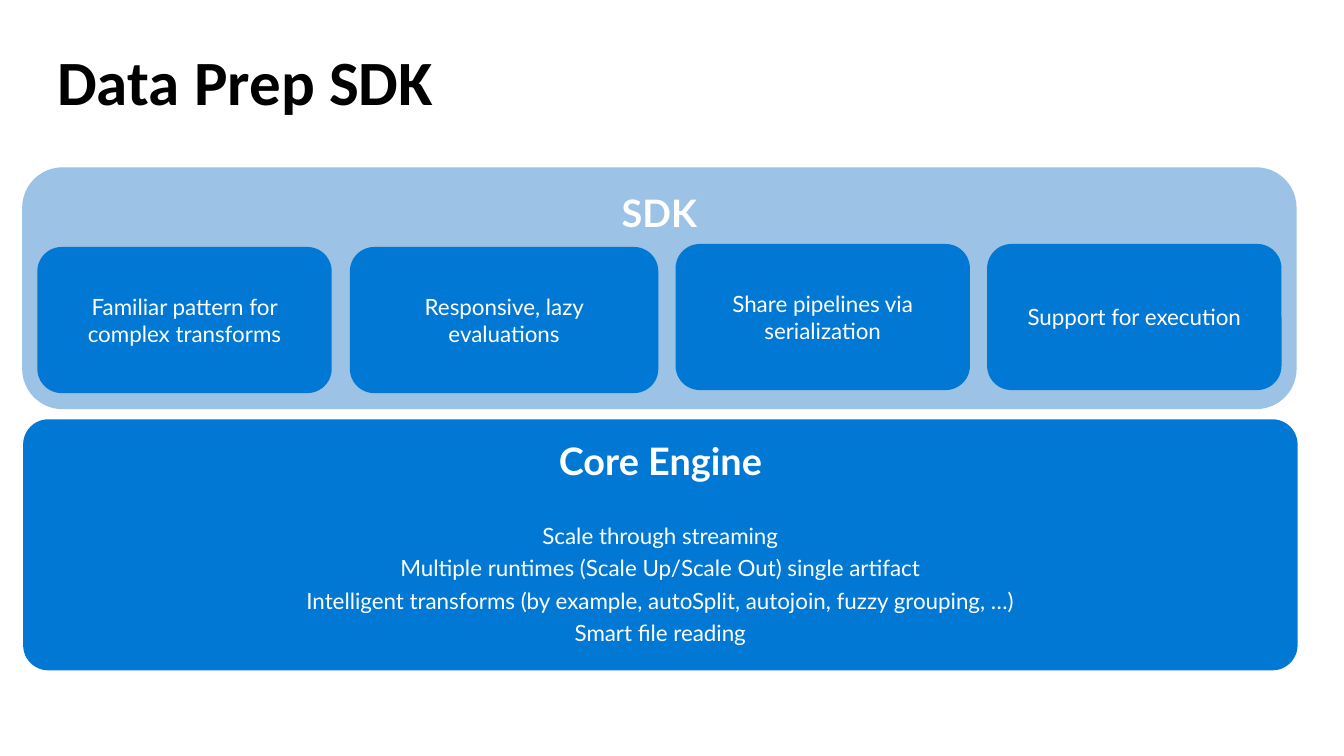
from pptx import Presentation
from pptx.dml.color import RGBColor
from pptx.enum.shapes import MSO_SHAPE
from pptx.enum.text import MSO_ANCHOR, PP_ALIGN
from pptx.util import Inches, Pt

ROUNDED = MSO_SHAPE.ROUNDED_RECTANGLE
TOP, MIDDLE = MSO_ANCHOR.TOP, MSO_ANCHOR.MIDDLE
LEFT, CENTER = PP_ALIGN.LEFT, PP_ALIGN.CENTER
COLORS = {"engine": "0078D4", "sdk": "9CC2E5", "white": "FFFFFF", "black": "000000"}


def add_panel(left, top, width, height, corner, color, anchor):
    """Add a rounded, borderless panel with padded, wrapping text."""
    panel = slide.shapes.add_shape(
        ROUNDED, Inches(left), Inches(top), Inches(width), Inches(height))
    panel.adjustments[0] = corner
    panel.shadow.inherit = False
    panel.fill.solid()
    panel.fill.fore_color.rgb = RGBColor.from_string(COLORS[color])
    panel.line.fill.background()
    frame = panel.text_frame
    frame.word_wrap = True
    frame.vertical_anchor = anchor
    frame.margin_left = frame.margin_right = Inches(0.2)
    frame.margin_top = frame.margin_bottom = Inches(0.16)
    return frame


def write(paragraph, text, size, bold=False, font="Lato", color="white",
          align=CENTER, spacing=0.9):
    paragraph.text = text
    paragraph.alignment = align
    paragraph.line_spacing = spacing
    for run in paragraph.runs:
        run.font.name = font
        run.font.size = Pt(size)
        run.font.bold = bold
        run.font.color.rgb = RGBColor.from_string(COLORS[color])


prs = Presentation()
prs.slide_width, prs.slide_height = Inches(13.33), Inches(7.5)
slide = prs.slides.add_slide(prs.slide_layouts[6])

# Core engine
engine = add_panel(0.23, 4.16, 12.64, 2.49, 0.1, "engine", TOP)
write(engine.paragraphs[0], "Core Engine", 27, bold=True)
capabilities = [
    "Scale through streaming",
    "Multiple runtimes (Scale Up/Scale Out) single artifact",
    "Intelligent transforms (by example, autoSplit, autojoin, fuzzy grouping, …)",
    "Smart file reading",
]
for index, capability in enumerate(capabilities):
    line = engine.add_paragraph()
    write(line, capability, 16)
    line.space_before = Pt(6 if index else 29.3)

# Title
title = slide.shapes.add_textbox(
    Inches(0.47), Inches(0.33), Inches(12.4), Inches(0.83)).text_frame
title.word_wrap = True
title.margin_left, title.margin_top = Inches(0.1), Inches(0.18)
title.margin_right = title.margin_bottom = 0
write(title.paragraphs[0], "Data Prep SDK", 45, bold=True, font="Calibri",
      color="black", align=LEFT)

# SDK and its features
sdk = add_panel(0.22, 1.66, 12.64, 2.4, 0.167, "sdk", TOP)
write(sdk.paragraphs[0], "SDK", 27, bold=True)
features = [
    ("Familiar pattern for complex transforms", 0.37, 2.45, 2.92),
    ("Responsive, lazy evaluations", 3.47, 2.45, 3.06),
    ("Share pipelines via serialization", 6.7, 2.42, 2.92),
    ("Support for execution", 9.79, 2.42, 2.92),
]
for text, left, top, width in features:
    feature = add_panel(left, top, width, 1.45, 0.167, "engine", MIDDLE)
    write(feature.paragraphs[0], text, 16, spacing=1.0)

prs.save("out.pptx")
